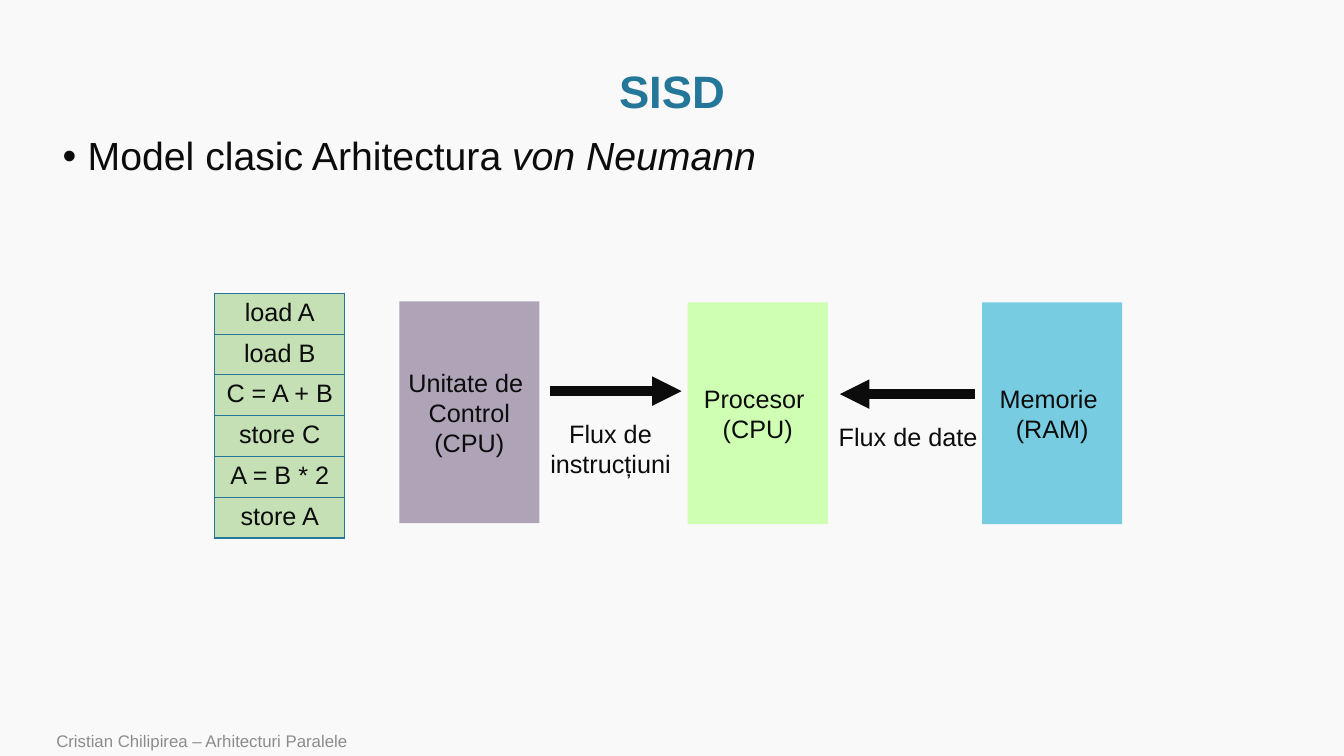
import pptx
import pptx.util
import pptx.dml.color
import pptx.enum.shapes
import pptx.enum.text
import pptx.oxml
import pptx.oxml.ns

Inches = pptx.util.Inches
Pt = pptx.util.Pt
Align = pptx.enum.text.PP_ALIGN
Anchor = pptx.enum.text.MSO_ANCHOR
Fit = pptx.enum.text.MSO_AUTO_SIZE
ns = pptx.oxml.ns.nsdecls("a")
ink, blue = "0C0C0C", "247798"


def paint(hue):
    return pptx.dml.color.RGBColor.from_string(hue)


def style(frame, size=18, hue=ink, align=Align.CENTER):
    for para in frame.paragraphs:
        para.alignment = align
        for run in para.runs:
            run.font.name = "Arial"
            run.font.size = Pt(size)
            run.font.color.rgb = paint(hue)


deck = pptx.Presentation()
deck.slide_width, deck.slide_height = Inches(13.33), Inches(7.5)
slide = deck.slides.add_slide(deck.slide_layouts[1])
slide.background.fill.solid()
slide.background.fill.fore_color.rgb = paint("F9F9F9")

# Title
title = slide.shapes.title
title.left, title.top = Inches(2.01), Inches(0.68)
title.width, title.height = Inches(9.31), Inches(0.5)
frame = title.text_frame
frame.text = "SISD"
frame.auto_size = Fit.NONE
frame.vertical_anchor = Anchor.MIDDLE
frame.paragraphs[0].line_spacing = 0.9
style(frame, 32.4, blue)
frame.paragraphs[0].runs[0].font.bold = True

# Bullet list
body = slide.placeholders[1]
body.left, body.top = Inches(0.52), Inches(1.31)
body.width, body.height = Inches(12.51), Inches(5.45)
frame = body.text_frame
frame.auto_size = Fit.NONE
para = frame.paragraphs[0]
para.text = "Model clasic Arhitectura "
term = para.add_run()
term.text = "von Neumann"
term.font.italic = True
para.line_spacing = 0.9
para.space_before = Pt(0)
props = para._p.get_or_add_pPr()
props.set("marL", str(Inches(0.25)))
props.set("indent", str(-Inches(0.25)))
props.append(pptx.oxml.parse_xml(f'<a:buChar {ns} char="•"/>'))
style(frame, 28, align=Align.LEFT)

# Flow labels
labels = [
    ("Flux de\ninstrucțiuni", 5.35, 4.1, 1.41, 0.71, Align.CENTER),
    ("Flux de date", 8.22, 4.13, 1.59, 0.4, Align.LEFT),
]
for text, left, top, width, height, align in labels:
    box = slide.shapes.add_textbox(
        Inches(left), Inches(top), Inches(width), Inches(height))
    box.text_frame.text = text
    box.text_frame.word_wrap = False
    box.text_frame.auto_size = Fit.SHAPE_TO_FIT_TEXT
    style(box.text_frame, align=align)

# Machine blocks
blocks = [
    ("Unitate de \nControl\n(CPU)", 3.96, 2.99, "AEA3B7"),
    ("Procesor \n(CPU)", 6.82, 3, "CFFFB3"),
    ("Memorie \n(RAM)", 9.74, 3, "78CCE2"),
]
for text, left, top, hue in blocks:
    block = slide.shapes.add_shape(
        pptx.enum.shapes.MSO_SHAPE.RECTANGLE,
        Inches(left), Inches(top), Inches(1.39), Inches(2.2))
    block.shadow.inherit = False
    block.fill.solid()
    block.fill.fore_color.rgb = paint(hue)
    block.line.fill.background()
    block.text_frame.text = text
    block.text_frame.word_wrap = False
    block.text_frame.vertical_anchor = Anchor.MIDDLE
    style(block.text_frame)

# Program listing
steps = ["load A", "load B", "C = A + B", "store C", "A = B * 2", "store A"]
table = slide.shapes.add_table(
    len(steps), 1, Inches(2.13), Inches(2.91), Inches(1.29), Inches(2.43)).table
table.first_row = False
table.horz_banding = False
for row, step in enumerate(steps):
    cell = table.cell(row, 0)
    cell.text_frame.text = step
    style(cell.text_frame)
    props = cell._tc.get_or_add_tcPr()
    for side in ("lnL", "lnR", "lnT", "lnB"):
        props.append(pptx.oxml.parse_xml(
            f'<a:{side} {ns} w="{Pt(1)}"><a:solidFill>'
            f'<a:srgbClr val="{blue}"/></a:solidFill></a:{side}>'))
    cell.fill.solid()
    cell.fill.fore_color.rgb = paint("C5E0B4")

# Flow arrows
for start, end, level in [(5.45, 6.76, 3.88), (9.67, 8.33, 3.91)]:
    arrow = slide.shapes.add_connector(
        pptx.enum.shapes.MSO_CONNECTOR.STRAIGHT,
        Inches(start), Inches(level), Inches(end), Inches(level))
    arrow.line.width = Pt(7)
    arrow.line.color.rgb = paint(ink)
    arrow.line._get_or_add_ln().append(
        pptx.oxml.parse_xml(f'<a:tailEnd {ns} type="triangle"/>'))
    arrow._element.spPr.append(pptx.oxml.parse_xml(f"<a:effectLst {ns}/>"))

# Footer
foot = slide.shapes.add_textbox(
    Inches(0.46), Inches(7.22), Inches(9.82), Inches(0.28))
foot.text_frame.text = "Cristian Chilipirea – Arhitecturi Paralele"
foot.text_frame.word_wrap = True
foot.text_frame.vertical_anchor = Anchor.BOTTOM
style(foot.text_frame, 12, "8C8C8C", Align.LEFT)

deck.save("out.pptx")
